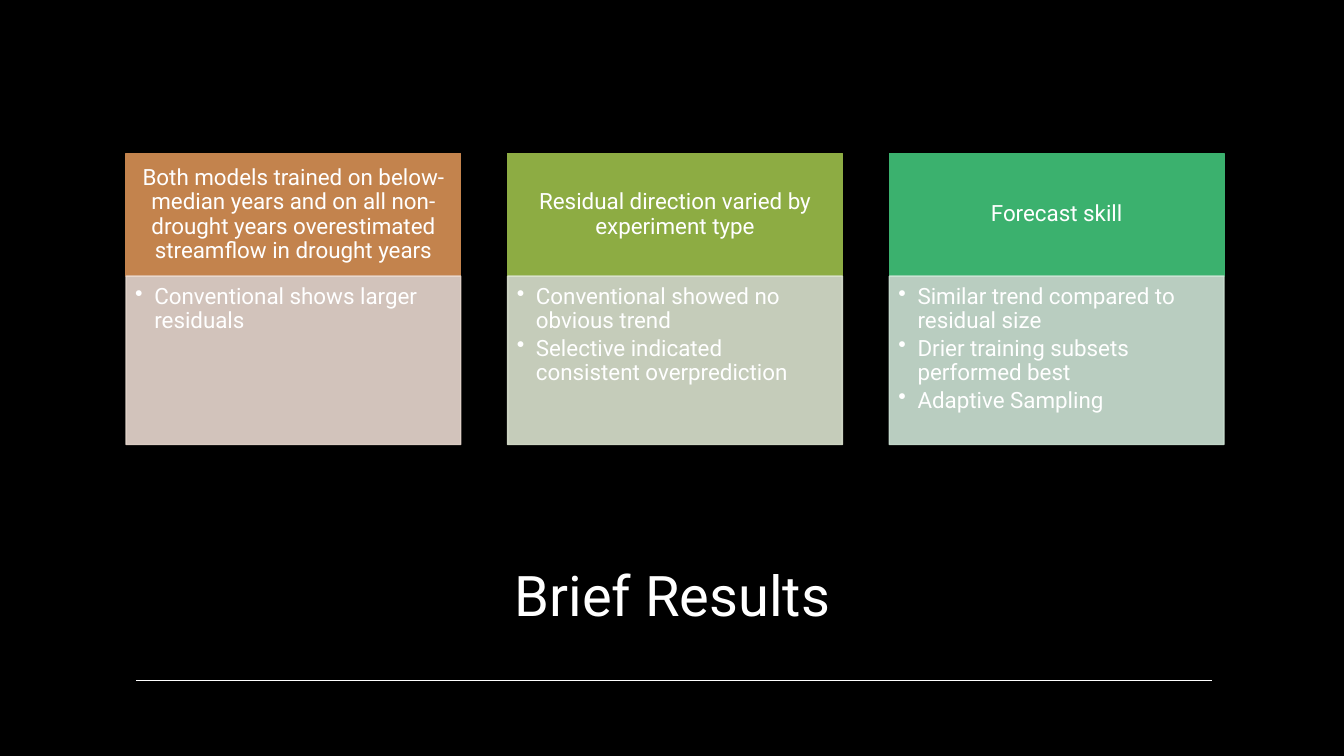
from dataclasses import dataclass

from lxml import etree
from pptx import Presentation
from pptx.dml.color import RGBColor
from pptx.enum import shapes, text
from pptx.oxml import ns
from pptx.util import Inches, Pt


@dataclass(frozen=True)
class Theme:
    font: str = "Roboto"
    background: str = "000000"
    ink: str = "FFFFFF"
    title_size: int = 40
    card_size: int = 16
    line_width: int = 1
    body_opacity: int = 90


THEME = Theme()

# Card grid
CARD_LEFT, CARD_TOP, CARD_STEP, CARD_WIDTH = 1.25, 1.52, 3.785, 3.32
HEAD_HEIGHT, BODY_HEIGHT = 1.22, 1.67
HEAD_INSETS = (0.12, 0.07, 0.12, 0.07)
BODY_INSETS = (0.09, 0.09, 0.12, 0.14)

# Heading, heading colour, body colour, findings
CARDS = [
    ("Both models trained on below-median years and on all non-drought years "
     "overestimated streamflow in drought years", "C3834D", "E9D9D0",
     ["Conventional shows larger residuals"]),
    ("Residual direction varied by experiment type", "8DAC43", "DBE3CF",
     ["Conventional showed no obvious trend",
      "Selective indicated consistent overprediction"]),
    ("Forecast skill", "3BB16E", "CEE4D5",
     ["Similar trend compared to residual size",
      "Drier training subsets performed best",
      "Adaptive Sampling"]),
]


def rgb(value):
    return RGBColor.from_string(value)


def add_bullet(para, indent=0.19):
    properties = para._p.get_or_add_pPr()
    properties.set("marL", str(Inches(indent)))
    properties.set("indent", str(-Inches(indent)))
    etree.SubElement(properties, ns.qn("a:buChar"), char="•")


def write_text(shape, lines, *, size, align, anchor, insets=(0.1, 0.05, 0.1, 0.05),
               after=0, bullet=False):
    frame = shape.text_frame
    frame.word_wrap = True
    frame.vertical_anchor = anchor
    (frame.margin_left, frame.margin_top,
     frame.margin_right, frame.margin_bottom) = map(Inches, insets)
    for index, line in enumerate(lines):
        para = frame.add_paragraph() if index else frame.paragraphs[0]
        para.alignment = align
        para.line_spacing = 0.9
        para.space_after = Pt(after)
        if bullet:
            add_bullet(para)
        span = para.add_run()
        span.text = line
        span.font.name = THEME.font
        span.font.size = Pt(size)
        span.font.color.rgb = rgb(THEME.ink)


def add_panel(page, left, top, height, color, opacity=100):
    panel = page.shapes.add_shape(
        shapes.MSO_SHAPE.RECTANGLE, Inches(left), Inches(top),
        Inches(CARD_WIDTH), Inches(height))
    panel.shadow.inherit = False
    panel.line.width = Pt(THEME.line_width)
    for fill in (panel.fill, panel.line.fill):
        fill.solid()
        fill.fore_color.rgb = rgb(color)
    if opacity < 100:
        for tint in panel._element.spPr.iter(ns.qn("a:srgbClr")):
            etree.SubElement(tint, ns.qn("a:alpha"), val=str(opacity * 1000))
    return panel


def add_card(page, left, heading, head_color, body_color, findings):
    head = add_panel(page, left, CARD_TOP, HEAD_HEIGHT, head_color)
    write_text(head, [heading], size=THEME.card_size, align=text.PP_ALIGN.CENTER,
               anchor=text.MSO_ANCHOR.MIDDLE, insets=HEAD_INSETS)
    body = add_panel(page, left, CARD_TOP + HEAD_HEIGHT, BODY_HEIGHT, body_color,
                     THEME.body_opacity)
    write_text(body, findings, size=THEME.card_size, align=text.PP_ALIGN.LEFT,
               anchor=text.MSO_ANCHOR.TOP, insets=BODY_INSETS, after=2.4, bullet=True)


def add_title(page, title):
    box = page.shapes.add_textbox(Inches(1.92), Inches(5.16), Inches(9.5), Inches(1.13))
    write_text(box, [title], size=THEME.title_size, align=text.PP_ALIGN.CENTER,
               anchor=text.MSO_ANCHOR.BOTTOM)


def add_rule(page, left, right, top):
    rule = page.shapes.add_connector(
        shapes.MSO_CONNECTOR.STRAIGHT, Inches(left), Inches(top),
        Inches(right), Inches(top))
    rule.line.color.rgb = rgb(THEME.ink)
    rule.line.width = Pt(THEME.line_width)
    etree.SubElement(rule._element.spPr, ns.qn("a:effectLst"))


def main():
    deck = Presentation()
    deck.slide_width, deck.slide_height = Inches(13.33), Inches(7.5)
    page = deck.slides.add_slide(deck.slide_layouts[6])
    page.background.fill.solid()
    page.background.fill.fore_color.rgb = rgb(THEME.background)

    # Title and rule below it
    add_title(page, "Brief Results")
    add_rule(page, 1.35, 12.02, 6.75)

    # Result cards
    for column, card in enumerate(CARDS):
        add_card(page, CARD_LEFT + column * CARD_STEP, *card)

    deck.save("out.pptx")


if __name__ == "__main__":
    main()
